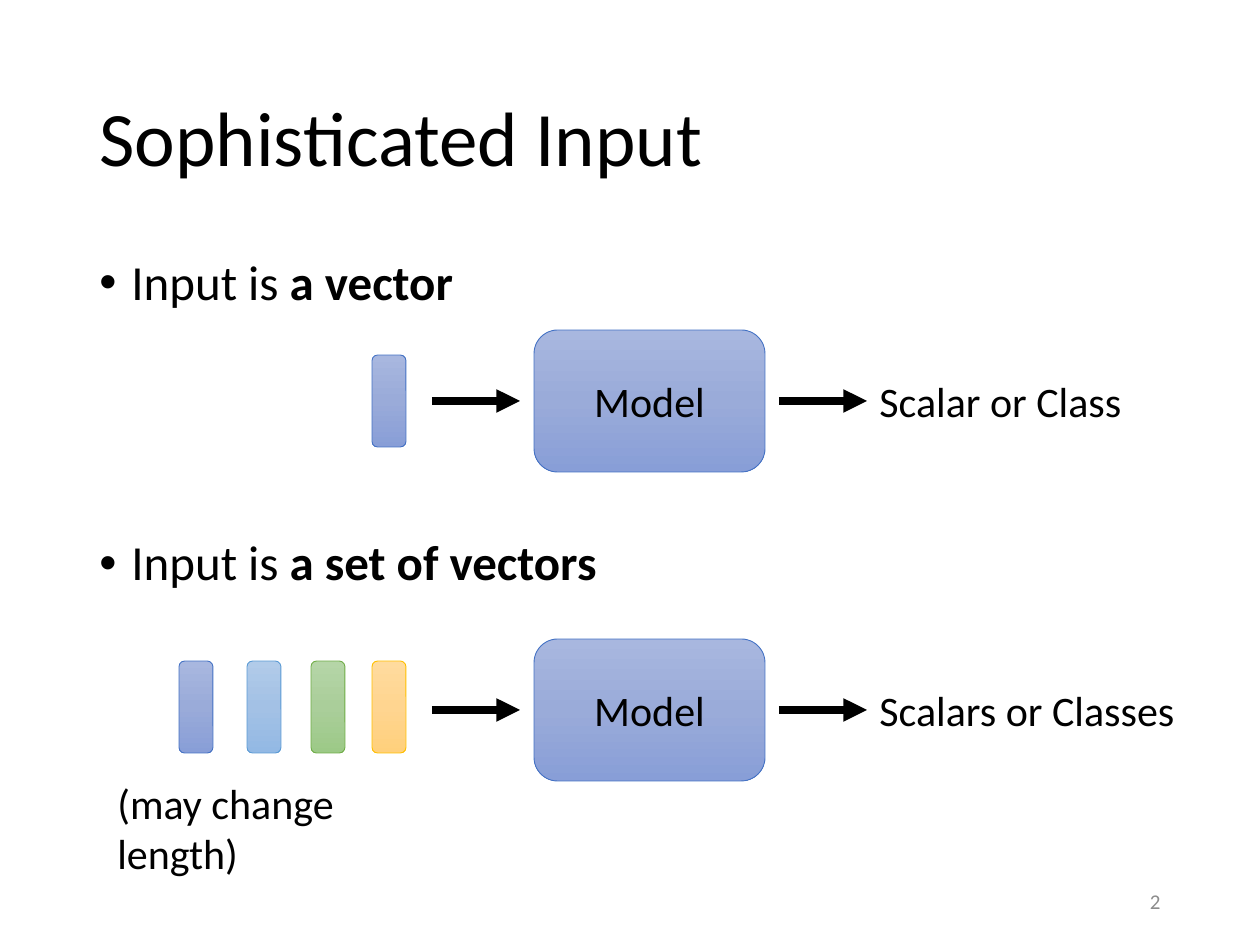
from copy import deepcopy

from lxml import etree
from pptx import Presentation
from pptx import util as u
from pptx.dml.color import RGBColor
from pptx.enum import shapes, text
from pptx.oxml.ns import qn

SCALE = 914400 / 126
FONT = "Calibri"
COLORS = {
    "ink": "000000",
    "number": "8C8C8C",
    "blue": ("A8B7DF", "9AABD9", "889ED7", "4472C4"),
    "sky": ("B1CBE9", "A3C1E5", "93B9E4", "5B9BD5"),
    "green": ("B5D5A7", "AACE9A", "9CC987", "70AD47"),
    "gold": ("FFDB9E", "FFD590", "FFD07C", "FFC000"),
}
ROWS = [
    (330, 355, {372: "blue"}, "Scalar or Class"),
    (639, 661, {179: "blue", 247: "sky", 311: "green", 372: "gold"}, "Scalars or Classes"),
]
BULLETS = [("Input is ", "a vector", 0), ("Input is ", "a set of vectors", 130)]


def px(*lengths):
    """Turn px lengths into a list of EMU lengths."""
    return [u.Emu(round(length * SCALE)) for length in lengths]


def assign(target, values):
    """Set each attribute of target from a dict."""
    for name, value in values.items():
        setattr(target, name, value)


def add_run(paragraph, words, size, color="ink", bold=False):
    """Append a formatted run to a paragraph."""
    run = paragraph.add_run()
    run.text = words
    assign(run.font, {"name": FONT, "size": u.Pt(size), "bold": bold})
    run.font.color.rgb = RGBColor.from_string(COLORS[color])


def add_label(slide, box, words, size=24, color="ink", frame_format=None, align=None):
    """Add a wrapping text box with one paragraph."""
    frame = slide.shapes.add_textbox(*px(*box)).text_frame
    assign(frame, {"word_wrap": True, **(frame_format or {})})
    frame.paragraphs[0].alignment = align
    add_run(frame.paragraphs[0], words, size, color)


def add_title(slide, words):
    """Place and format the title placeholder."""
    title = slide.shapes.title
    assign(title, dict(zip(("left", "top", "width", "height"), px(87, 50, 1086, 183))))
    title.text_frame.vertical_anchor = text.MSO_ANCHOR.MIDDLE
    heading = title.text_frame.paragraphs[0]
    assign(heading, {"alignment": text.PP_ALIGN.LEFT, "line_spacing": 0.9})
    add_run(heading, words, 44)


def add_bullets(slide):
    """Add the bulleted statements, set apart by paragraph spacing."""
    frame = slide.shapes.add_textbox(*px(87, 252, 1086, 600)).text_frame
    frame.word_wrap = True
    for index, (lead, stress, gap) in enumerate(BULLETS):
        bullet = frame.add_paragraph() if index else frame.paragraphs[0]
        assign(bullet, {"line_spacing": 0.9, "space_before": u.Pt(gap)})
        add_run(bullet, lead, 28)
        add_run(bullet, stress, 28, bold=True)
        properties = bullet._p.get_or_add_pPr()
        indent = px(32)[0]
        properties.set("marL", str(indent))
        properties.set("indent", str(-indent))
        etree.SubElement(properties, qn("a:buFont"), typeface="Arial")
        etree.SubElement(properties, qn("a:buChar"), char="•")


def add_block(slide, box, palette, words=""):
    """Add a rounded block with a vertical gradient."""
    block = slide.shapes.add_shape(shapes.MSO_SHAPE.ROUNDED_RECTANGLE, *px(*box))
    block.shadow.inherit = False
    *shades, edge = COLORS[palette]
    block.fill.gradient()
    block.fill.gradient_angle = 270
    stop_list = block.element.spPr.find(".//" + qn("a:gsLst"))
    stop_list.insert(1, deepcopy(stop_list[0]))
    for stop, shade, position in zip(block.fill.gradient_stops, shades, (0, 0.5, 1)):
        stop.color.rgb = RGBColor.from_string(shade)
        stop.position = position
    block.line.color.rgb = RGBColor.from_string(edge)
    block.line.width = u.Pt(0.5)
    if words:
        block.text_frame.vertical_anchor = text.MSO_ANCHOR.MIDDLE
        caption = block.text_frame.paragraphs[0]
        caption.alignment = text.PP_ALIGN.CENTER
        add_run(caption, words, 24)


def add_arrow(slide, start, y, length=88):
    """Add a thick horizontal arrow pointing right."""
    arrow = slide.shapes.add_connector(
        shapes.MSO_CONNECTOR.STRAIGHT, *px(start, y, start + length, y))
    arrow.line.color.rgb = RGBColor.from_string(COLORS["ink"])
    arrow.line.width = u.Pt(4.5)
    etree.SubElement(arrow.line._get_or_add_ln(), qn("a:tailEnd"), type="triangle")
    etree.SubElement(arrow.element.spPr, qn("a:effectLst"))


def add_flow(slide, model_top, vector_top, vectors, result):
    """Add one row from input vectors through the model to its result."""
    for left, palette in vectors.items():
        add_block(slide, (left, vector_top, 34, 92), palette)
    add_block(slide, (534, model_top, 231, 142), "blue", "Model")
    for start in (432, 779):
        add_arrow(slide, start, model_top + 71)
    add_label(slide, (867, model_top + 39, 367, 63), result)


def main():
    """Build and save the slide."""
    deck = Presentation()
    deck.slide_width, deck.slide_height = px(1260, 945)
    slide = deck.slides.add_slide(deck.slide_layouts[5])
    add_title(slide, "Sophisticated Input")
    add_bullets(slide)
    for row in ROWS:
        add_flow(slide, *row)
    add_label(slide, (105, 771, 368, 63), "(may change length)")
    add_label(slide, (890, 876, 283, 50), "2", 12, "number",
              {"vertical_anchor": text.MSO_ANCHOR.MIDDLE}, text.PP_ALIGN.RIGHT)
    deck.save("out.pptx")


if __name__ == "__main__":
    main()
